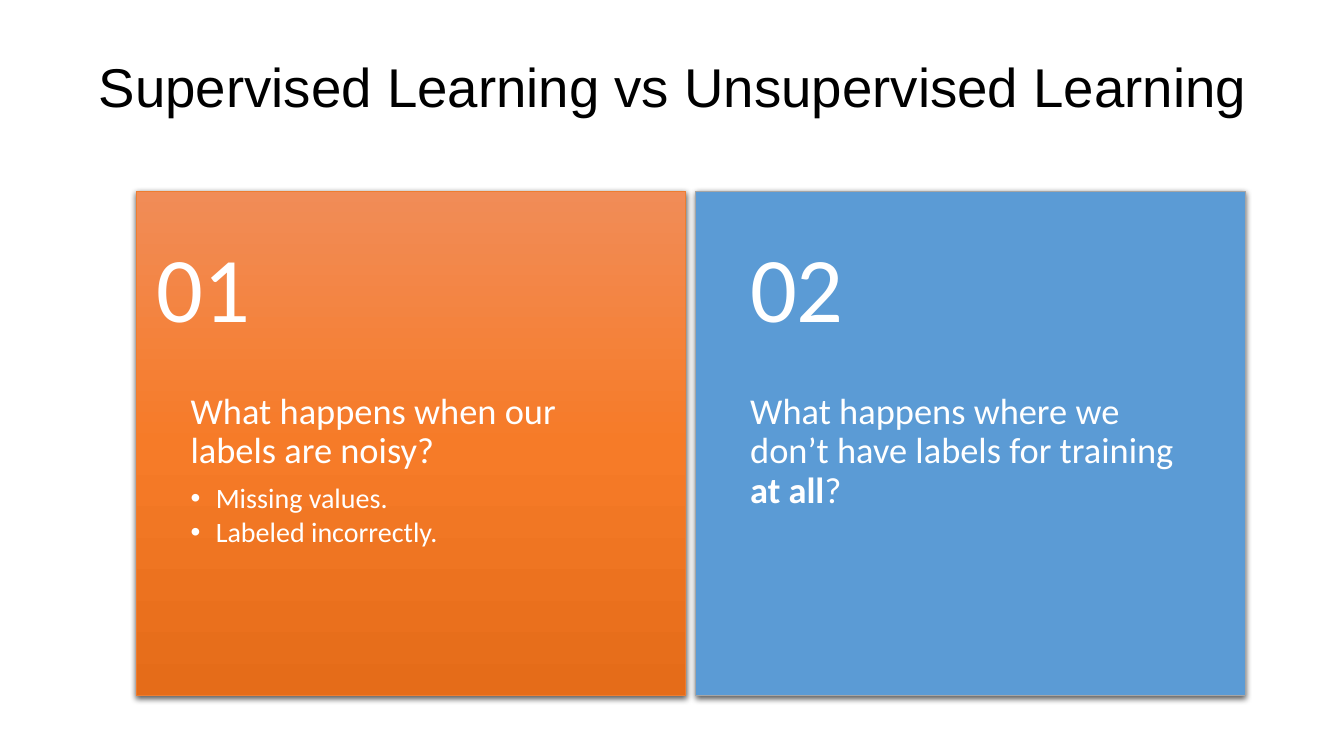
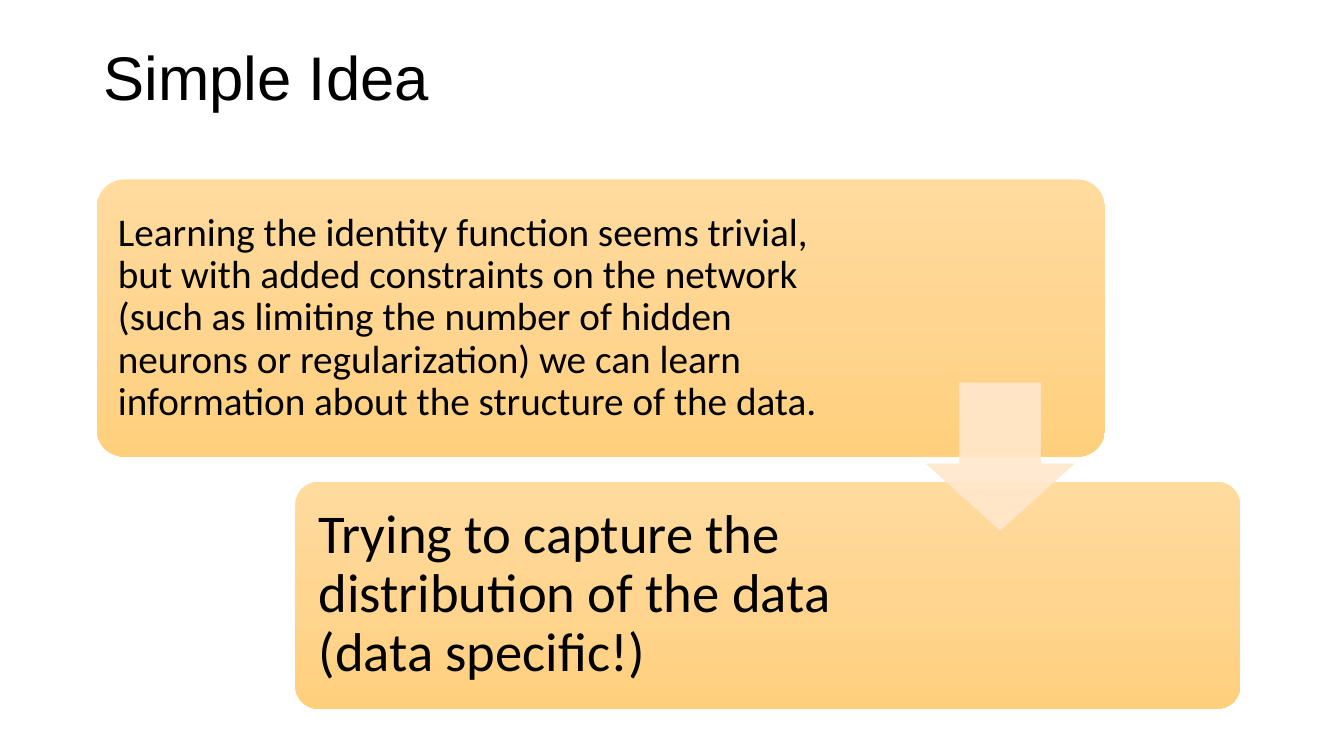
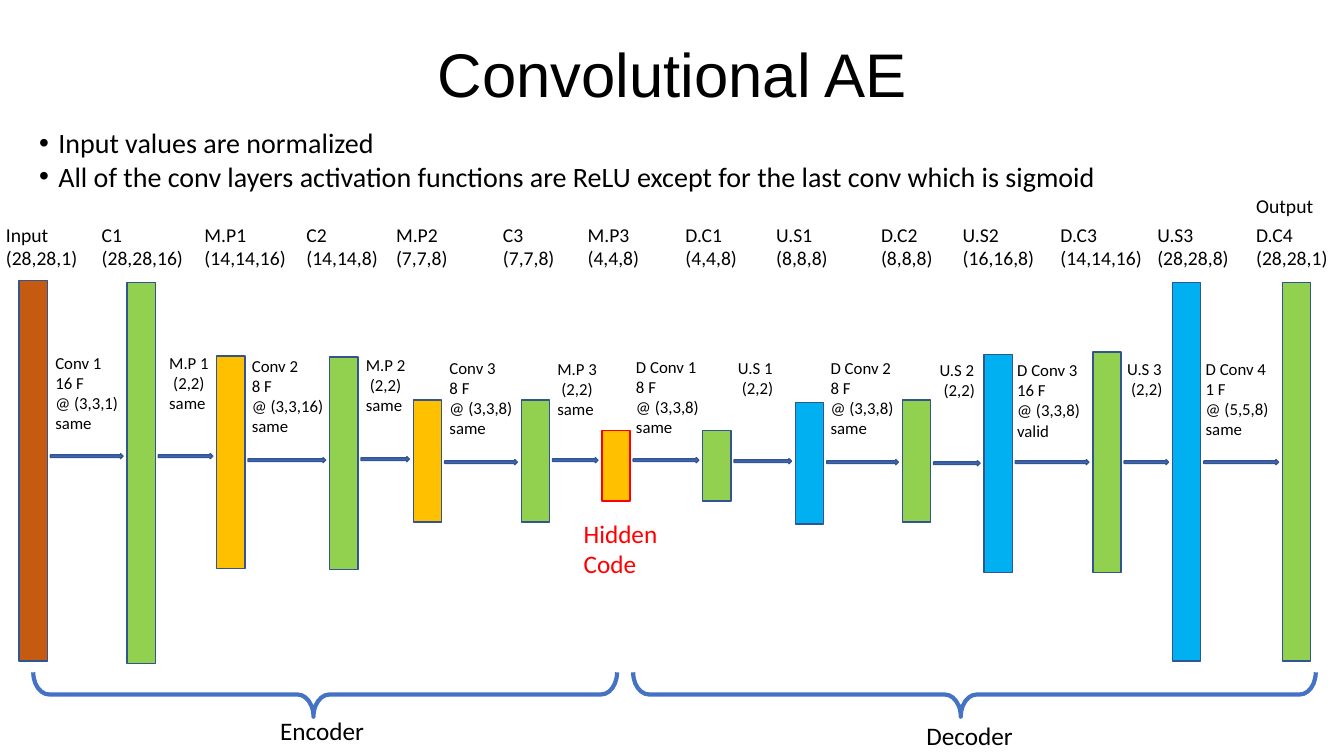
from dataclasses import dataclass
from itertools import pairwise
from typing import Optional, Sequence

from lxml.etree import SubElement
from pptx import Presentation
from pptx.dml.color import RGBColor
from pptx.enum.shapes import MSO_SHAPE as Preset
from pptx.enum.text import MSO_ANCHOR as Anchor, PP_ALIGN as Align
from pptx.oxml.ns import qn
from pptx.util import Emu, Inches, Pt


@dataclass(frozen=True)
class Theme:
    heading_font: str = "Arial"
    body_font: str = "Calibri"
    black: str = "000000"
    white: str = "FFFFFF"
    red: str = "FF0000"
    blue: str = "4472C4"
    outline: str = "325491"
    card_blue: str = "5B9BD5"
    card_orange: tuple = ("F18C57", "F67B28", "E56C19")
    sand: tuple = ("FFDB9E", "FFD590", "FFD07C")
    cream: str = "FFE8CC"
    brown: str = "C55A11"
    green: str = "92D050"
    amber: str = "FFC000"
    sky: str = "00B0F0"
    title: float = 44
    long_title: float = 39
    number: float = 66
    question: float = 26
    bullet: float = 20
    caption: float = 18
    layer: float = 14
    step: float = 12


THEME = Theme()


@dataclass(frozen=True)
class Box:
    """A place on a grid of one-inch columns and rows."""
    column: float
    row: float
    columns: float
    rows: float

    def lengths(self) -> tuple:
        return tuple(Inches(n) for n in (self.column, self.row, self.columns, self.rows))


@dataclass(frozen=True)
class Run:
    text: str
    bold: bool = False


@dataclass(frozen=True)
class Line:
    runs: tuple
    size: float
    color: str = THEME.black
    font: str = THEME.body_font
    align: Align = Align.LEFT
    spacing: Optional[float] = None
    after: float = 0
    indent: float = 0
    bullet: bool = False


@dataclass(frozen=True)
class Card:
    number: str
    number_column: float
    fill: object
    outline: str
    lines: tuple


@dataclass(frozen=True)
class Panel:
    box: Box
    text_box: Box
    inset: float
    text: str
    size: float


@dataclass(frozen=True)
class Layer:
    column: float
    row: float
    rows: float
    fill: str
    label_column: float
    name: str
    shape: str
    outline: str = THEME.outline


@dataclass(frozen=True)
class Step:
    column: float
    row: float
    arrow_row: float
    lines: tuple


@dataclass(frozen=True)
class Stage:
    name: str
    column: float
    row: float
    columns: float
    name_column: float
    name_row: float


def rgb(color: str) -> RGBColor:
    return RGBColor.from_string(color)


def add_child(parent, tag: str, **attributes):
    return SubElement(parent, qn(tag), {k: str(v) for k, v in attributes.items()})


def add_alpha(parent, percent: int) -> None:
    for color in parent.iter(qn("a:srgbClr")):
        add_child(color, "a:alpha", val=percent * 1000)


def add_text(slide, box: Box, lines: Sequence[Line], inset: tuple = (0.1, 0.05, 0.1, 0.05),
             anchor: Anchor = Anchor.TOP) -> None:
    frame = slide.shapes.add_textbox(*box.lengths()).text_frame
    frame.word_wrap = True
    frame.vertical_anchor = anchor
    (frame.margin_left, frame.margin_top,
     frame.margin_right, frame.margin_bottom) = (Inches(n) for n in inset)
    for index, line in enumerate(lines):
        paragraph = frame.add_paragraph() if index else frame.paragraphs[0]
        properties = paragraph._p.get_or_add_pPr()
        if line.indent:
            properties.set("marL", str(Inches(line.indent)))
        if line.bullet:
            properties.set("indent", str(-Inches(line.indent)))
            add_child(properties, "a:buFont", typeface=THEME.heading_font)
            add_child(properties, "a:buChar", char="•")
        paragraph.alignment = line.align
        paragraph.space_after = Pt(line.after)
        if line.spacing:
            paragraph.line_spacing = line.spacing
        for part in line.runs:
            run = paragraph.add_run()
            run.text = part.text
            run.font.name = line.font
            run.font.size = Pt(line.size)
            run.font.bold = part.bold
            run.font.color.rgb = rgb(line.color)


def add_title(slide, box: Box, text: str, size: float = THEME.title,
              align: Align = Align.CENTER) -> None:
    add_text(slide, box, [Line((Run(text),), size, font=THEME.heading_font,
                               align=align, spacing=0.9)], anchor=Anchor.MIDDLE)


def add_preset(slide, kind: Preset, box: Box, fill=None, outline: Optional[str] = None,
               weight: float = 1, adjustments: tuple = ()):
    """A preset shape; a tuple of colours makes a gradient from top to bottom."""
    shape = slide.shapes.add_shape(kind, *box.lengths())
    shape.shadow.inherit = False
    for index, value in enumerate(adjustments):
        shape.adjustments[index] = value
    if fill is None:
        shape.fill.background()
    elif isinstance(fill, tuple):
        shape.fill.gradient()
        shape.fill.gradient_angle = 270
        stops = shape._element.spPr.find(".//" + qn("a:gsLst"))
        stops.clear()
        for index, color in enumerate(fill):
            stop = add_child(stops, "a:gs", pos=index * 100000 // (len(fill) - 1))
            add_child(stop, "a:srgbClr", val=color)
    else:
        shape.fill.solid()
        shape.fill.fore_color.rgb = rgb(fill)
    if outline:
        shape.line.color.rgb = rgb(outline)
        shape.line.width = Pt(weight)
    else:
        shape.line.fill.background()
    return shape


def add_shadow(shape) -> None:
    effects = shape._element.spPr.find(qn("a:effectLst"))
    shadow = add_child(effects, "a:outerShdw", blurRad=Pt(4.5), dist=Pt(1.5),
                       dir=90 * 60000, algn="ctr", rotWithShape=0)
    add_child(shadow, "a:srgbClr", val=THEME.black)
    add_alpha(shadow, 63)


# Comparison slide
def question(*runs: Run) -> Line:
    return Line(runs, THEME.question, THEME.white, spacing=0.9, after=9)


def remark(text: str) -> Line:
    return Line((Run(text),), THEME.bullet, THEME.white, spacing=0.9, after=3,
                indent=0.25, bullet=True)


CARDS = (
    Card("01", 1.01, THEME.card_orange, "ED7D31",
         (question(Run("What happens when our labels are noisy?")),
          remark("Missing values."), remark("Labeled incorrectly."))),
    Card("02", 6.9, THEME.card_blue, "A5A5A5",
         (question(Run("What happens where we don’t have labels for training "),
                   Run("at all", True), Run("?")),)),
)


def build_comparison(slide) -> None:
    add_title(slide, Box(0.26, 0.4, 12.82, 0.99),
              "Supervised Learning vs Unsupervised Learning", THEME.long_title)
    width, gap, top = 5.45, 0.1, 1.9
    for index, card in enumerate(CARDS):
        left = 1.35 + index * (width + gap)
        add_shadow(add_preset(slide, Preset.RECTANGLE, Box(left, top, width, 5),
                              card.fill, card.outline, 0.5))
        add_text(slide, Box(left, top + 2, width, 3), card.lines, (0.54, 0, 0.54, 0.36))
        add_text(slide, Box(card.number_column, top, width, 2),
                 [Line((Run(card.number),), THEME.number, THEME.white, spacing=0.9)],
                 (0.54, 0.18, 0.54, 0.18), Anchor.MIDDLE)


# Idea slide
PANELS = (
    Panel(Box(0.96, 1.78, 10, 2.75), Box(1.05, 1.86, 7.5, 2.59), 0.12,
          "Learning the identity function seems trivial, but with added constraints on the "
          "network (such as limiting the number of hidden neurons or regularization) we can "
          "learn information about the structure of the data.", 28),
    Panel(Box(2.93, 4.78, 9.37, 2.25), Box(3, 4.84, 6.13, 2.12), 0.16,
          "Trying to capture the distribution of the data (data specific!)", 39),
)


def build_idea(slide) -> None:
    add_title(slide, Box(0.93, 0.29, 7.12, 1.02), "Simple Idea", align=Align.LEFT)
    for panel in PANELS:
        add_preset(slide, Preset.ROUNDED_RECTANGLE, panel.box, THEME.sand, adjustments=(0.1,))
        add_text(slide, panel.text_box, [Line((Run(panel.text),), panel.size, spacing=0.9)],
                 (panel.inset,) * 4, Anchor.MIDDLE)
    arrow = add_preset(slide, Preset.DOWN_ARROW, Box(9.19, 3.8, 1.46, 1.46),
                       THEME.cream, THEME.cream, 0.5, (0.55, 0.45))
    add_alpha(arrow._element.spPr, 90)


# Network slide
LAYERS = (
    Layer(0.19, 2.78, 3.78, THEME.brown, -0.04, "Input", "(28,28,1)"),
    Layer(1.26, 2.8, 3.78, THEME.green, 0.91, "C1", "(28,28,16)"),
    Layer(2.15, 3.53, 2.11, THEME.amber, 1.93, "M.P1", "(14,14,16)"),
    Layer(3.27, 3.54, 2.11, THEME.green, 2.94, "C2", "(14,14,8)"),
    Layer(4.1, 3.97, 1.21, THEME.amber, 3.83, "M.P2", "(7,7,8)"),
    Layer(5.17, 3.97, 1.21, THEME.green, 4.89, "C3", "(7,7,8)"),
    Layer(5.97, 4.27, 0.7, THEME.amber, 5.73, "M.P3", "(4,4,8)", THEME.red),
    Layer(6.97, 4.27, 0.7, THEME.green, 6.7, "D.C1", "(4,4,8)"),
    Layer(7.89, 3.99, 1.21, THEME.sky, 7.6, "U.S1", "(8,8,8)"),
    Layer(8.95, 3.97, 1.21, THEME.green, 8.64, "D.C2", "(8,8,8)"),
    Layer(9.76, 3.52, 2.16, THEME.sky, 9.45, "U.S2", "(16,16,8)"),
    Layer(10.84, 3.49, 2.19, THEME.green, 10.42, "D.C3", "(14,14,16)"),
    Layer(11.63, 2.8, 3.76, THEME.sky, 11.38, "U.S3", "(28,28,8)"),
    Layer(12.72, 2.8, 3.76, THEME.green, 12.36, "D.C4", "(28,28,1)"),
)
STEPS = (
    Step(0.45, 3.45, 4.5, ("Conv 1", "16 F", "@ (3,3,1)", "same")),
    Step(1.58, 3.45, 4.5, ("M.P 1", "(2,2)", "same")),
    Step(2.4, 3.48, 4.54, ("Conv 2", "8 F", "@ (3,3,16)", "same")),
    Step(3.53, 3.47, 4.53, ("M.P 2", "(2,2)", "same")),
    Step(4.36, 3.5, 4.56, ("Conv 3", "8 F", "@ (3,3,8)", "same")),
    Step(5.43, 3.51, 4.54, ("M.P 3", "(2,2)", "same")),
    Step(6.21, 3.49, 4.54, ("D Conv 1", "8 F", "@ (3,3,8)", "same")),
    Step(7.22, 3.5, 4.55, ("U.S 1", "(2,2)")),
    Step(8.14, 3.5, 4.56, ("D Conv 2", "8 F", "@ (3,3,8)", "same")),
    Step(9.22, 3.52, 4.57, ("U.S 2", "(2,2)")),
    Step(9.99, 3.52, 4.56, ("D Conv 3", "16 F", "@ (3,3,8)", "valid")),
    Step(11.08, 3.51, 4.56, ("U.S 3", "(2,2)")),
    Step(11.86, 3.51, 4.56, ("D Conv 4", "1 F", "@ (5,5,8)", "same")),
)
STAGES = (
    Stage("Encoder", 0.33, 6.67, 5.79, 2.68, 7.05),
    Stage("Decoder", 6.28, 6.67, 6.77, 9.09, 7.1),
)
BAR_WIDTH = 0.28


def add_layer(slide, layer: Layer) -> None:
    add_preset(slide, Preset.RECTANGLE, Box(layer.column, layer.row, BAR_WIDTH, layer.rows),
               layer.fill, layer.outline)
    add_text(slide, Box(layer.label_column, 2.16, 1.06, 0.57),
             [Line((Run(text),), THEME.layer) for text in (layer.name, layer.shape)])


def add_step(slide, step: Step, before: Layer, after: Layer) -> None:
    start, end = before.column + BAR_WIDTH + 0.03, after.column - 0.04
    add_preset(slide, Preset.RIGHT_ARROW, Box(start, step.arrow_row, end - start, 0.05),
               THEME.blue, THEME.outline)
    add_text(slide, Box(step.column, step.row, 0.96, 0.1 + 0.2 * len(step.lines)),
             [Line((Run(text),), THEME.step, indent=0.04 if text.startswith("(") else 0)
              for text in step.lines])


def add_stage(slide, stage: Stage) -> None:
    depth = 0.44
    # The brace is laid out upright and turned about its centre
    shift = (stage.columns - depth) / 2
    brace = add_preset(slide, Preset.LEFT_BRACE,
                       Box(stage.column + shift, stage.row - shift, depth, stage.columns),
                       outline=THEME.blue, weight=3, adjustments=(0.36, 0.48))
    brace.rotation = 270
    add_text(slide, Box(stage.name_column, stage.name_row, 1.68, 0.4),
             [Line((Run(stage.name),), THEME.caption)])


def build_network(slide) -> None:
    for layer in LAYERS:
        add_layer(slide, layer)
    for step, (before, after) in zip(STEPS, pairwise(LAYERS)):
        add_step(slide, step, before, after)
    for stage in STAGES:
        add_stage(slide, stage)
    add_text(slide, Box(5.69, 5.09, 0.96, 0.71),
             [Line((Run("Hidden Code"),), THEME.caption, THEME.red)])
    add_text(slide, Box(12.36, 1.87, 0.97, 0.34), [Line((Run("Output"),), THEME.layer)])
    facts = ("Input values are normalized",
             "All of the conv layers activation functions are ReLU "
             "except for the last conv which is sigmoid")
    add_text(slide, Box(0.29, 1.2, 11.53, 0.77),
             [Line((Run(fact),), THEME.bullet, indent=0.19, bullet=True) for fact in facts])
    add_title(slide, Box(0.92, 0.26, 11.5, 1.01), "Convolutional AE")


def main() -> None:
    presentation = Presentation()
    presentation.slide_width = Emu(Inches(13.33))
    presentation.slide_height = Emu(Inches(7.5))
    blank = presentation.slide_layouts[6]
    for build in (build_comparison, build_idea, build_network):
        build(presentation.slides.add_slide(blank))
    presentation.save("out.pptx")


if __name__ == "__main__":
    main()
